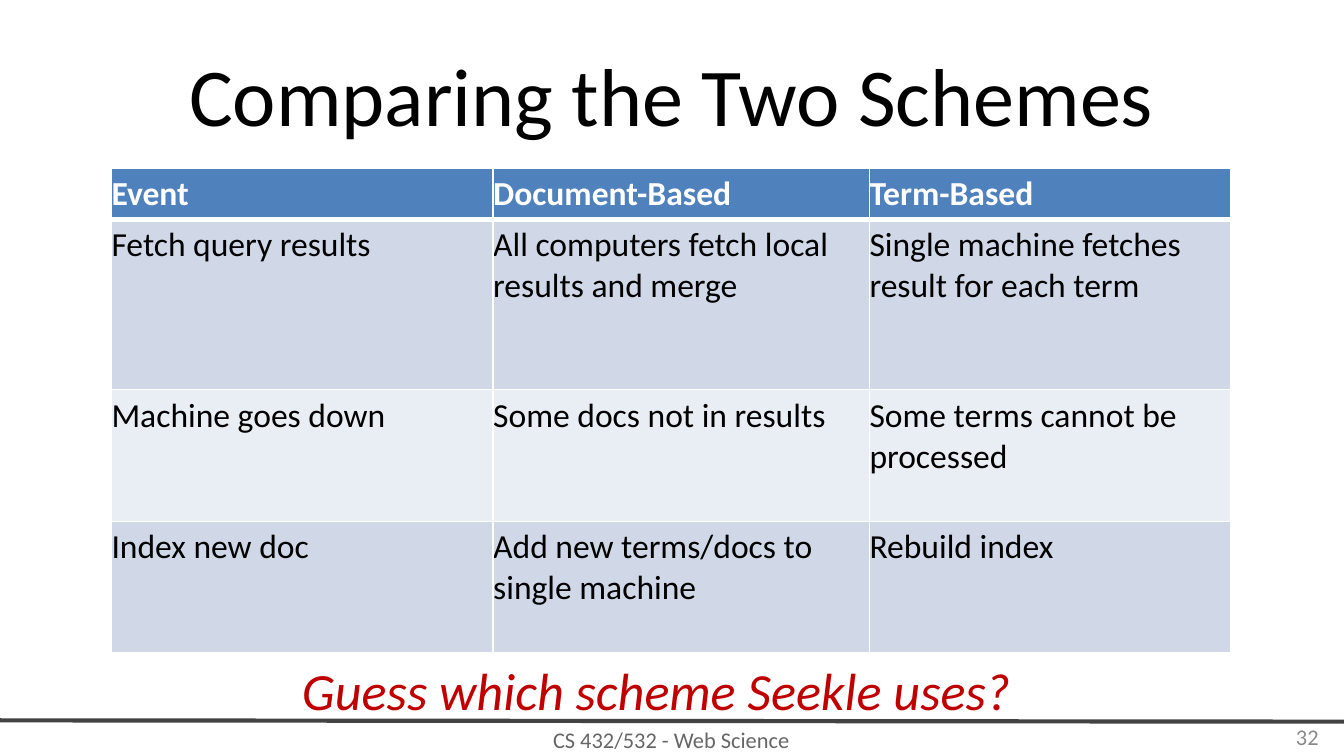
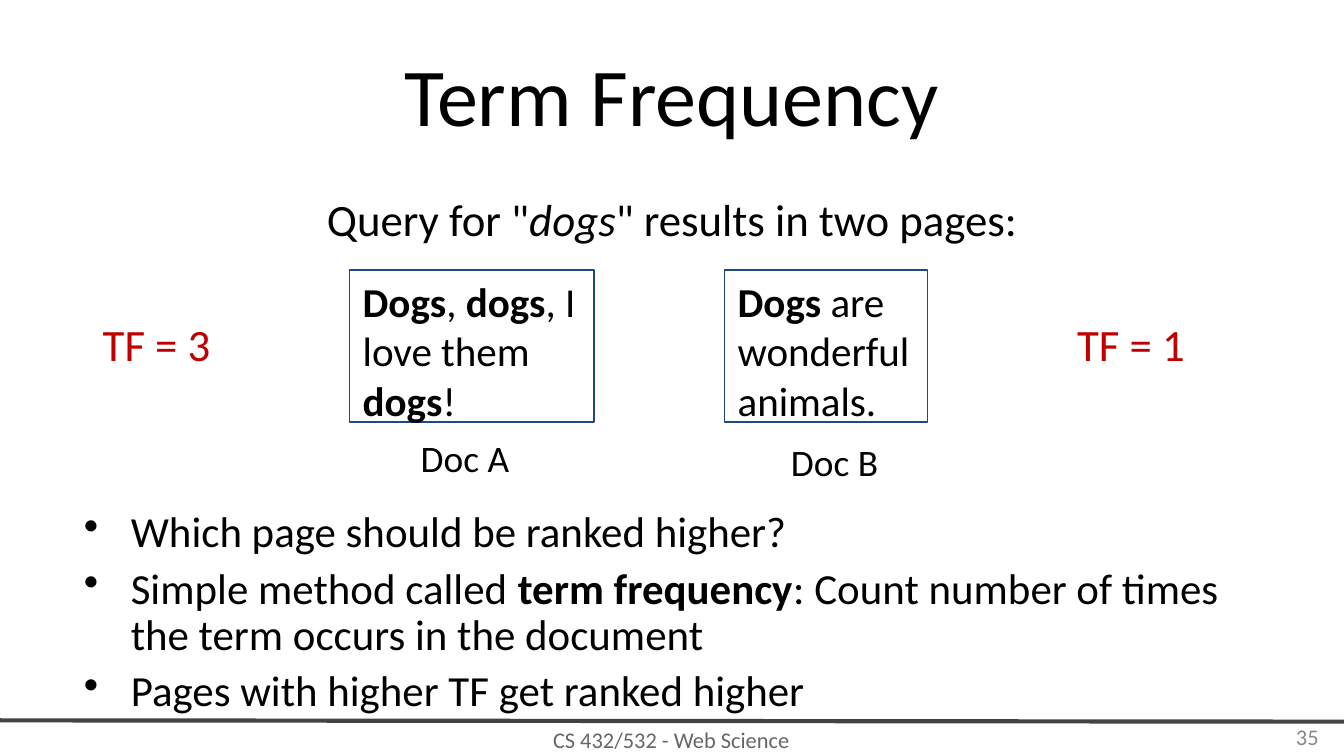
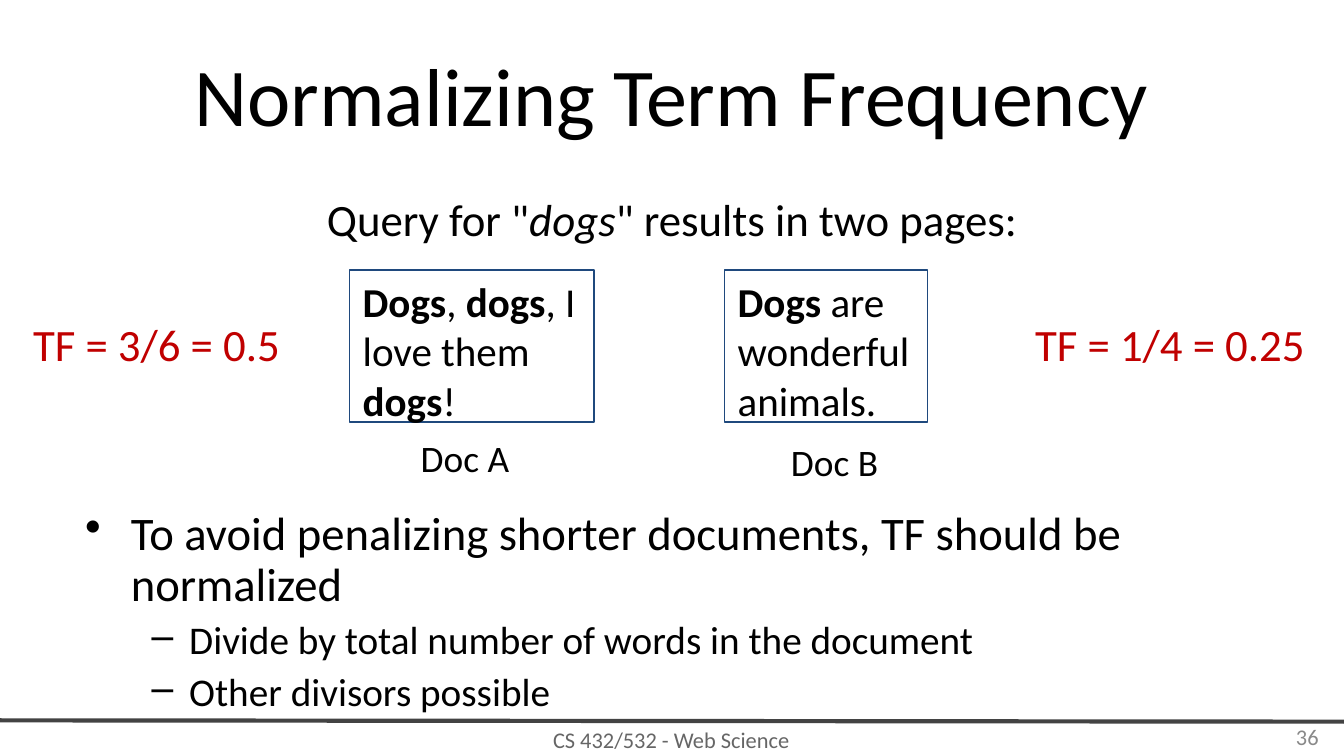
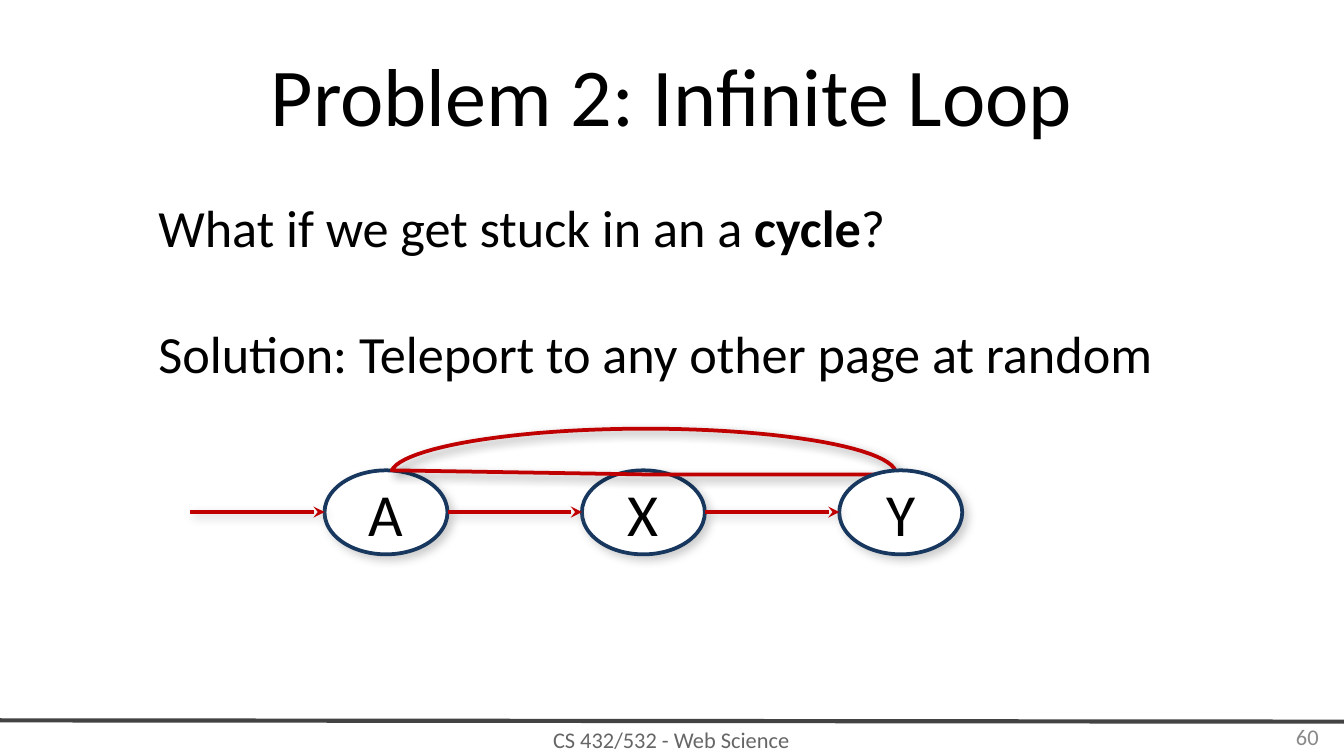
"""Build four web science lecture slides on index schemes, term frequency and cycles."""
from dataclasses import dataclass

from lxml.etree import SubElement
from pptx import Presentation
from pptx.dml.color import RGBColor
from pptx.enum.shapes import MSO_CONNECTOR, MSO_SHAPE
from pptx.enum.text import MSO_ANCHOR, PP_ALIGN
from pptx.oxml.ns import qn
from pptx.util import Pt

PX = 4572
SLIDE_WIDTH, SLIDE_HEIGHT = 2000, 1125


@dataclass(frozen=True)
class Theme:
    font: str = "Calibri"
    black: str = "000000"
    white: str = "FFFFFF"
    accent: str = "C00000"
    rule: str = "434343"
    footer: str = "666666"
    number: str = "898989"
    doc_line: str = "1F497D"
    node_line: str = "17375E"
    node_shadow: str = "808080"
    header_fill: str = "4F81BD"
    bands: tuple = ("D0D8E8", "E9EDF4")
    title_size: int = 44
    node_size: int = 32
    statement_size: int = 28
    query_size: int = 24
    doc_size: int = 22
    label_size: int = 20
    table_size: int = 18
    footer_size: int = 12


THEME = Theme()


def px(*lengths):
    return [round(length * PX) for length in lengths]


def rgb(color):
    return RGBColor.from_string(color)


def write(paragraph, text, size, color=THEME.black, align=PP_ALIGN.LEFT,
          bold=False, italic=False, emphasis="bold"):
    """Write text in which the parts between asterisks take the emphasis."""
    paragraph.alignment = align
    for index, part in enumerate(text.split("*")):
        if not part:
            continue
        run = paragraph.add_run()
        run.text = part
        font = run.font
        font.name, font.size = THEME.font, Pt(size)
        font.color.rgb = rgb(color)
        font.bold, font.italic = bold, italic
        if index % 2:
            setattr(font, emphasis, True)


def set_frame(frame, anchor=MSO_ANCHOR.TOP, inset=(20, 10)):
    frame.word_wrap = True
    frame.vertical_anchor = anchor
    side, end = px(*inset)
    frame.margin_left = frame.margin_right = side
    frame.margin_top = frame.margin_bottom = end


def add_text(slide, box, text, size, color=THEME.black, align=PP_ALIGN.CENTER,
             anchor=MSO_ANCHOR.TOP, inset=(20, 10), **style):
    frame = slide.shapes.add_textbox(*px(*box)).text_frame
    set_frame(frame, anchor, inset)
    write(frame.paragraphs[0], text, size, color, align, **style)
    return frame


def set_effects(shape, shadow=None):
    """Replace the inherited effects by none or by a soft shadow."""
    properties = shape._element.spPr
    for old in properties.findall(qn("a:effectLst")):
        properties.remove(old)
    effects = SubElement(properties, qn("a:effectLst"))
    if shadow:
        outer = SubElement(effects, qn("a:outerShdw"), blurRad=str(Pt(5)),
                           dist=str(Pt(3)), dir="2700000", rotWithShape="0")
        tint = SubElement(outer, qn("a:srgbClr"), val=shadow)
        SubElement(tint, qn("a:alpha"), val="40000")


def add_line(slide, start, end, color, width, shadow=None, arrow=False):
    line = slide.shapes.add_connector(MSO_CONNECTOR.STRAIGHT, *px(*start, *end))
    line.line.color.rgb = rgb(color)
    line.line.width = Pt(width)
    if arrow:
        SubElement(line.line._get_or_add_ln(), qn("a:tailEnd"), type="stealth")
    set_effects(line, shadow)


def add_outlined(slide, preset, box, color, width):
    shape = slide.shapes.add_shape(preset, *px(*box))
    shape.shadow.inherit = False
    shape.fill.background()
    shape.line.color.rgb = rgb(color)
    shape.line.width = Pt(width)
    return shape


def add_slide(deck, title, number):
    """Add a blank slide with the shared rule, footer, title and number."""
    slide = deck.slides.add_slide(deck.slide_layouts[6])
    slide.background.fill.solid()
    slide.background.fill.fore_color.rgb = rgb(THEME.white)
    middle = MSO_ANCHOR.MIDDLE
    add_line(slide, (0, 1072), (SLIDE_WIDTH, 1074), THEME.rule, 2.25)
    add_text(slide, (364, 1074, 1270, 52), "CS 432/532 - Web Science",
             THEME.footer_size, THEME.footer, anchor=middle, inset=(20, 20))
    add_text(slide, (100, 46, 1800, 188), title, THEME.title_size, anchor=middle)
    add_text(slide, (1516, 1066, 466, 60), str(number), THEME.footer_size,
             THEME.number, PP_ALIGN.RIGHT, middle)
    return slide


def set_borders(cell, top, bottom):
    properties = cell._tc.get_or_add_tcPr()
    sides = (("L", 1), ("R", 1), ("T", top), ("B", bottom))
    for index, (side, width) in enumerate(sides):
        border = SubElement(properties, qn(f"a:ln{side}"), w=str(Pt(width)))
        fill = SubElement(border, qn("a:solidFill"))
        SubElement(fill, qn("a:srgbClr"), val=THEME.white)
        properties.insert(index, border)


def add_comparison(slide, left, top, widths, heights, rows):
    """Add a table with a strong header and alternating bands."""
    frame = slide.shapes.add_table(len(rows), len(widths),
                                   *px(left, top, sum(widths), sum(heights)))
    table = frame.table
    for column, width in zip(table.columns, px(*widths)):
        column.width = width
    for index, (row, height, texts) in enumerate(zip(table.rows, px(*heights), rows)):
        row.height = height
        header = index == 0
        for cell, text in zip(row.cells, texts):
            cell.margin_left = cell.margin_right = 0
            cell.margin_top, cell.margin_bottom = px(8, 8)
            cell.fill.solid()
            cell.fill.fore_color.rgb = rgb(
                THEME.header_fill if header else THEME.bands[(index - 1) % 2])
            set_borders(cell, 3 if index == 1 else 1, 3 if header else 1)
            write(cell.text_frame.paragraphs[0], text, THEME.table_size,
                  THEME.white if header else THEME.black, bold=header)


def add_bullets(slide, box, items, space):
    """Add bullets given as (mark, indent, hang, size, text)."""
    frame = slide.shapes.add_textbox(*px(*box)).text_frame
    set_frame(frame)
    for index, (mark, indent, hang, size, text) in enumerate(items):
        paragraph = frame.add_paragraph() if index else frame.paragraphs[0]
        properties = paragraph._p.get_or_add_pPr()
        properties.set("marL", str(indent * PX))
        properties.set("indent", str(-hang * PX))
        bullet_color = SubElement(properties, qn("a:buClr"))
        SubElement(bullet_color, qn("a:srgbClr"), val=THEME.black)
        SubElement(properties, qn("a:buChar"), char=mark)
        paragraph.line_spacing = 0.9
        if index:
            paragraph.space_before = Pt(space)
        write(paragraph, text, size)


def add_documents(slide):
    """Add the query and the two matching documents with their labels."""
    add_text(slide, (50, 276, 1900, 76), 'Query for "*dogs*" results in two pages:',
             THEME.query_size, emphasis="italic")
    documents = (
        (520, 364, "*Dogs*, *dogs*, I love them *dogs*!", "Doc A", 576, 638),
        (1078, 302, "*Dogs* are wonderful animals.", "Doc B", 1126, 644),
    )
    for left, width, content, label, label_left, label_top in documents:
        page = add_outlined(slide, MSO_SHAPE.RECTANGLE, (left, 402, width, 226),
                            THEME.doc_line, 0.75)
        set_frame(page.text_frame)
        write(page.text_frame.paragraphs[0], content, THEME.doc_size)
        add_text(slide, (label_left, label_top, 232, 66), label, THEME.label_size)


def add_score(slide, left, width, score):
    add_text(slide, (left, 462, width, 76), score, THEME.query_size, THEME.accent)


def add_node(slide, left, top, name):
    node = add_outlined(slide, MSO_SHAPE.OVAL, (left, top, 183, 125),
                        THEME.node_line, 2)
    node.fill.solid()
    node.fill.fore_color.rgb = rgb(THEME.white)
    set_effects(node, THEME.node_shadow)
    set_frame(node.text_frame, MSO_ANCHOR.MIDDLE)
    write(node.text_frame.paragraphs[0], name, THEME.node_size, align=PP_ALIGN.CENTER)


def bezier(start, first, second, end, steps=24):
    """Return points along a cubic curve, without its start."""
    def at(t, axis):
        u = 1 - t
        return (u ** 3 * start[axis] + 3 * u * u * t * first[axis]
                + 3 * u * t * t * second[axis] + t ** 3 * end[axis])
    return [(at(step / steps, 0), at(step / steps, 1)) for step in range(1, steps + 1)]


def add_loop(slide):
    start, crest, end = (583, 700), (960, 638), (1334, 706)
    points = bezier(start, (600, 666), (764, 638), crest)
    points += bezier(crest, (1166, 638), (1334, 668), end)
    points.append((958, 706))
    builder = slide.shapes.build_freeform(*px(*start))
    builder.add_line_segments([px(*point) for point in points], close=True)
    loop = builder.convert_to_shape()
    loop.fill.background()
    loop.line.color.rgb = rgb(THEME.accent)
    loop.line.width = Pt(2)
    set_effects(loop, THEME.black)


def build_schemes(deck):
    slide = add_slide(deck, "Comparing the Two Schemes", 32)
    add_comparison(slide, 166, 250, (568, 560, 538), (76, 254, 196, 196), (
        ("Event", "Document-Based", "Term-Based"),
        ("Fetch query results", "All computers fetch local results and merge",
         "Single machine fetches result for each term"),
        ("Machine goes down", "Some docs not in results",
         "Some terms cannot be processed"),
        ("Index new doc", "Add new terms/docs to single machine", "Rebuild index"),
    ))
    add_text(slide, (184, 970, 1584, 86), "Guess which scheme Seekle uses?",
             THEME.statement_size, THEME.accent, italic=True)


def build_frequency(deck):
    slide = add_slide(deck, "Term Frequency", 35)
    add_documents(slide)
    add_score(slide, 66, 334, "TF = 3")
    add_score(slide, 1516, 334, "TF = 1")
    texts = (
        "Which page should be ranked higher?",
        "Simple method called *term frequency*: "
        "Count number of times the term occurs in the document",
        "Pages with higher TF get ranked higher",
    )
    add_bullets(slide, (100, 750, 1800, 316),
                [("•", 75, 70, 23, text) for text in texts], 5.4)


def build_normalizing(deck):
    slide = add_slide(deck, "Normalizing Term Frequency", 36)
    add_documents(slide)
    add_score(slide, 16, 434, "TF = 3/6 = 0.5")
    add_score(slide, 1516, 450, "TF = 1/4 = 0.25")
    add_bullets(slide, (100, 750, 1800, 300), (
        ("•", 75, 68, 25,
         "To avoid penalizing shorter documents, TF should be normalized"),
        ("–", 162, 56, 21, "Divide by total number of words in the document"),
        ("–", 162, 56, 21, "Other divisors possible"),
    ), 5.2)


def build_cycle(deck):
    slide = add_slide(deck, "Problem 2: Infinite Loop", 60)
    statements = add_text(slide, (216, 280, 1584, 278),
                          "What if we get stuck in an a *cycle*?",
                          THEME.statement_size, align=PP_ALIGN.LEFT)
    solution = statements.add_paragraph()
    solution.space_before = Pt(34)
    write(solution, "Solution: Teleport to any other page at random",
          THEME.statement_size)
    first, step, arrow_length, top = 483, 383, 200, 700
    for index, name in enumerate("AXY"):
        left = first + index * step
        if name == "Y":
            add_loop(slide)
        add_node(slide, left, top, name)
        add_line(slide, (left - arrow_length, 762), (left, 762), THEME.accent, 2,
                 THEME.node_shadow, arrow=True)


def main():
    deck = Presentation()
    deck.slide_width, deck.slide_height = px(SLIDE_WIDTH, SLIDE_HEIGHT)
    build_schemes(deck)
    build_frequency(deck)
    build_normalizing(deck)
    build_cycle(deck)
    deck.save("out.pptx")


if __name__ == "__main__":
    main()
